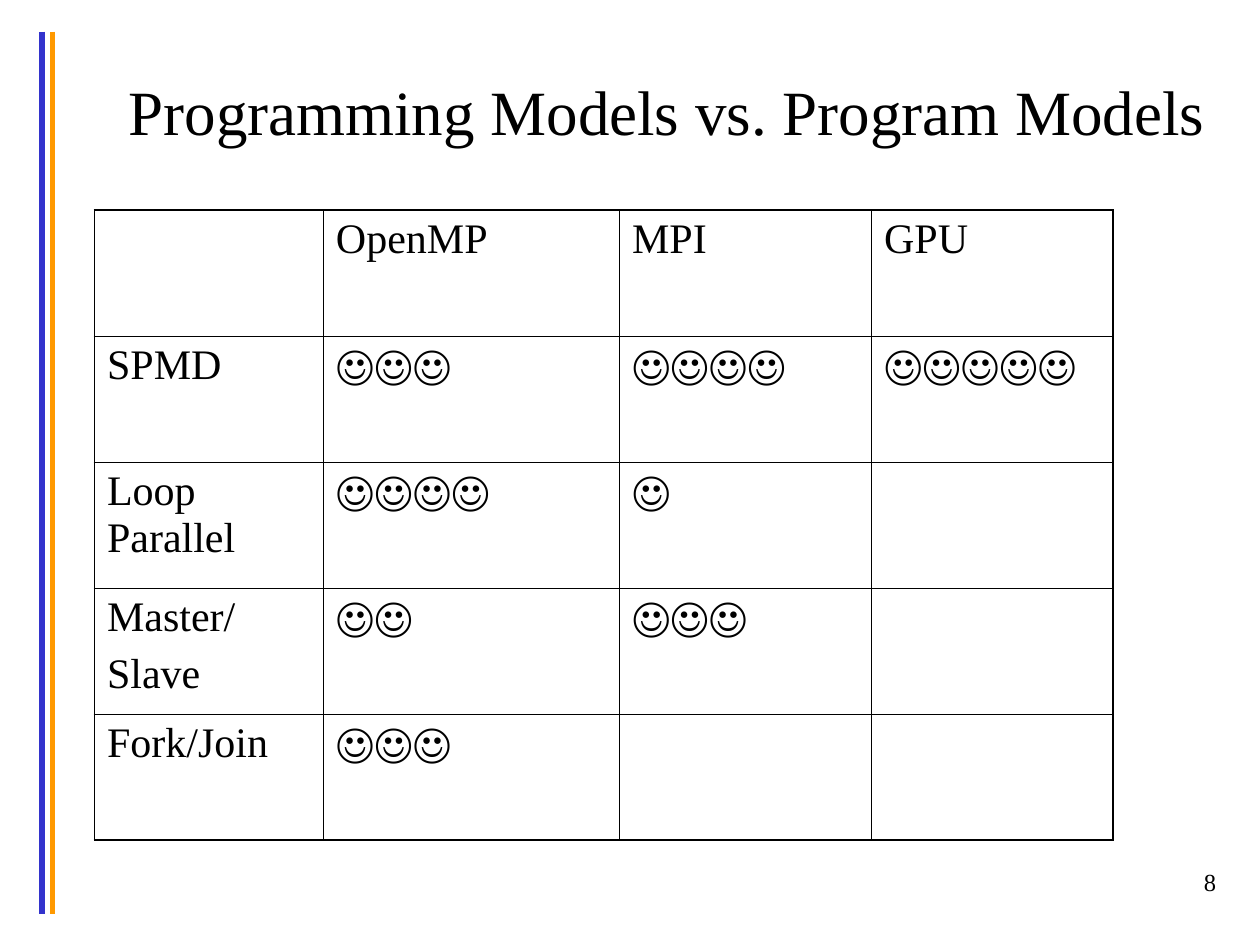
from dataclasses import dataclass

from lxml import etree
from pptx import Presentation
from pptx import util as u
from pptx.dml.color import RGBColor
from pptx.enum import shapes, text
from pptx.oxml.ns import qn

SCALE = 914400 // 120
INK = "000000"
SERIF = "Times New Roman"
THIN, THICK = 0.45, 1.08


@dataclass
class Bar:
    x: int
    hue: str


@dataclass
class Label:
    words: str
    box: tuple[int, int, int, int]
    size: int
    align: text.PP_ALIGN
    anchor: text.MSO_ANCHOR


@dataclass
class Model:
    name: str
    marks: tuple[int, ...]


BARS = [Bar(40, "3333CC"), Bar(50, "FF9900")]
LABELS = [
    Label("Programming Models vs. Program Models", (90, 30, 1090, 150), 36,
          text.PP_ALIGN.CENTER, text.MSO_ANCHOR.MIDDLE),
    Label("8", (920, 820, 250, 60), 14,
          text.PP_ALIGN.RIGHT, text.MSO_ANCHOR.TOP),
]
HEADS = ["", "OpenMP", "MPI", "GPU"]
MODELS = [
    Model("SPMD", (3, 4, 5)),
    Model("Loop Parallel", (4, 1, 0)),
    Model("Master/\nSlave", (2, 3, 0)),
    Model("Fork/Join", (3, 0, 0)),
]
WIDTHS = [218, 282, 240, 230]
HEIGHT = 120


def px(n: int) -> u.Emu:
    return u.Emu(n * SCALE)


def rgb(hue: str) -> RGBColor:
    return RGBColor.from_string(hue)


def style(frame, size: int, face: str = SERIF) -> None:
    for para in frame.paragraphs:
        for run in para.runs:
            run.font.size = u.Pt(size)
            run.font.name = face
            run.font.color.rgb = rgb(INK)


def draw_bar(slide, bar: Bar) -> None:
    line = slide.shapes.add_connector(
        shapes.MSO_CONNECTOR.STRAIGHT, px(bar.x), px(30), px(bar.x), px(870))
    line.line.color.rgb = rgb(bar.hue)
    line.line.width = u.Pt(3)
    etree.SubElement(line._element.spPr, qn("a:effectLst"))


def draw_label(slide, label: Label) -> None:
    frame = slide.shapes.add_textbox(*map(px, label.box)).text_frame
    frame.word_wrap = True
    frame.vertical_anchor = label.anchor
    frame.text = label.words
    frame.paragraphs[0].alignment = label.align
    style(frame, label.size)


def add_edge(cell, side: str, width: float) -> None:
    edge = etree.SubElement(cell._tc.get_or_add_tcPr(), qn(f"a:ln{side}"),
                            w=str(int(u.Pt(width))))
    fill = etree.SubElement(edge, qn("a:solidFill"))
    etree.SubElement(fill, qn("a:srgbClr"), val=INK)


def draw_table(slide) -> None:
    rows = [HEADS] + [[m.name, *("☺" * n for n in m.marks)] for m in MODELS]
    last, end = len(rows) - 1, len(WIDTHS) - 1
    grid = slide.shapes.add_table(
        len(rows), len(WIDTHS), px(90), px(200),
        px(sum(WIDTHS)), px(HEIGHT * len(rows))).table
    grid.first_row = grid.horz_banding = False
    for col, width in zip(grid.columns, WIDTHS):
        col.width = px(width)
    for r, row in enumerate(rows):
        grid.rows[r].height = px(HEIGHT)
        for c, words in enumerate(row):
            cell = grid.cell(r, c)
            outer = {"L": c == 0, "R": c == end, "T": r == 0, "B": r == last}
            for side, rim in outer.items():
                add_edge(cell, side, THICK if rim else THIN)
            cell.fill.background()
            frame = cell.text_frame
            frame.text = words
            for para in frame.paragraphs[1:]:
                para.space_before = u.Pt(6)
            style(frame, 24, "Cambria" if r and c else SERIF)


def main() -> None:
    deck = Presentation()
    deck.slide_width, deck.slide_height = px(1200), px(900)
    slide = deck.slides.add_slide(deck.slide_layouts[6])
    for bar in BARS:
        draw_bar(slide, bar)
    draw_table(slide)
    for label in LABELS:
        draw_label(slide, label)
    deck.save("out.pptx")


if __name__ == "__main__":
    main()
